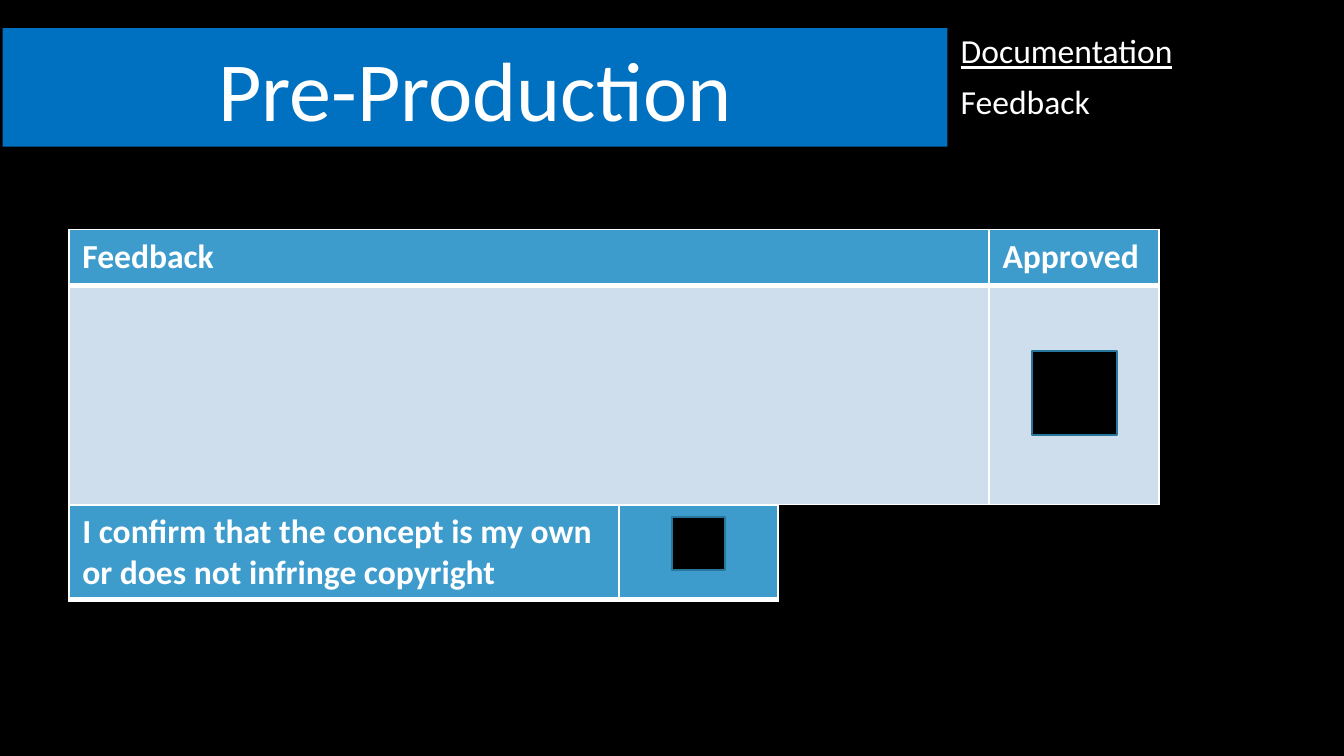
"""Build the Pre-Production feedback slide."""
from lxml import etree
from pptx import Presentation
from pptx.dml.color import RGBColor
from pptx.enum.shapes import MSO_SHAPE
from pptx.enum.text import MSO_ANCHOR, PP_ALIGN
from pptx.oxml.ns import qn
from pptx.util import Pt

RECT = MSO_SHAPE.RECTANGLE
TOP, BOTTOM = MSO_ANCHOR.TOP, MSO_ANCHOR.BOTTOM
LEFT, CENTER = PP_ALIGN.LEFT, PP_ALIGN.CENTER

BLACK, WHITE, BLUE = "000000", "FFFFFF", "0070C0"
HEAD, BODY, EDGE = "3D9CCC", "CEDEEC", "29769D"

TITLE = "Pre-Production"
TOPICS = [("Documentation", True), ("Feedback", False)]
TABLES = [
    {
        "at": (36.9, 122.9),
        "cols": [493, 91],
        "rows": [30.2, 117.2],
        "text": [["Feedback", "Approved"], ["", ""]],
    },
    {
        "at": (36.9, 270.5),
        "cols": [294.8, 85.2],
        "rows": [44.6],
        "text": [["I confirm that the concept is my own or does not infringe copyright", ""]],
    },
]
BOXES = [(553, 187.9, 45.4), (360, 277.2, 28.4)]


def color(code):
    return RGBColor.from_string(code)


def write(frame, lines, size=18, bold=False, align=LEFT, anchor=TOP, gap=0, lead=1):
    frame.word_wrap = True
    frame.vertical_anchor = anchor
    for i, (text, under) in enumerate(lines):
        para = frame.add_paragraph() if i else frame.paragraphs[0]
        para.alignment, para.line_spacing = align, lead
        para.space_before = Pt(gap)
        run = para.add_run()
        run.text = text
        font = run.font
        font.name, font.size, font.bold = "Calibri", Pt(size), bold
        font.underline = under
        font.color.rgb = color(WHITE)


def block(slide, x, y, w, h, fill, line=None):
    shape = slide.shapes.add_shape(RECT, Pt(x), Pt(y), Pt(w), Pt(h))
    shape.shadow.inherit = False
    shape.fill.solid()
    shape.fill.fore_color.rgb = color(fill)
    if line:
        shape.line.color.rgb = color(line)
        shape.line.width = Pt(1)
    else:
        shape.line.fill.background()
    return shape


def border(cell, base):
    props = cell._tc.get_or_add_tcPr()
    for side, width in (("L", 1), ("R", 1), ("T", 1), ("B", base)):
        line = etree.SubElement(props, qn(f"a:ln{side}"), w=str(Pt(width)))
        fill = etree.SubElement(line, qn("a:solidFill"))
        etree.SubElement(fill, qn("a:srgbClr"), val=WHITE)


def grid(slide, at, cols, rows, text):
    x, y = at
    frame = slide.shapes.add_table(
        len(rows), len(cols), Pt(x), Pt(y), Pt(sum(cols)), Pt(sum(rows)))
    table = frame.table
    for col, width in zip(table.columns, cols):
        col.width = Pt(width)
    for r, height in enumerate(rows):
        table.rows[r].height = Pt(height)
        for c, words in enumerate(text[r]):
            cell = table.cell(r, c)
            border(cell, 1 if r else 3)
            cell.fill.solid()
            cell.fill.fore_color.rgb = color(BODY if r else HEAD)
            if words:
                write(cell.text_frame, [(words, False)], bold=True)


def main():
    deck = Presentation()
    deck.slide_width, deck.slide_height = Pt(720), Pt(405)
    slide = deck.slides.add_slide(deck.slide_layouts[6])
    slide.background.fill.solid()
    slide.background.fill.fore_color.rgb = color(BLACK)

    banner = block(slide, 1.4, 15.1, 506.2, 63.4, BLUE)
    write(banner.text_frame, [(TITLE, False)], size=45, align=CENTER,
          anchor=BOTTOM, lead=0.9)
    topics = slide.shapes.add_textbox(Pt(507.6), Pt(15.1), Pt(212.4), Pt(85))
    write(topics.text_frame, TOPICS, gap=7.5, lead=0.9)

    for spec_set, (x, y, side) in zip(TABLES, BOXES):
        grid(slide, **spec_set)
        block(slide, x, y, side, side, BLACK, EDGE)
    deck.save("out.pptx")


if __name__ == "__main__":
    main()
